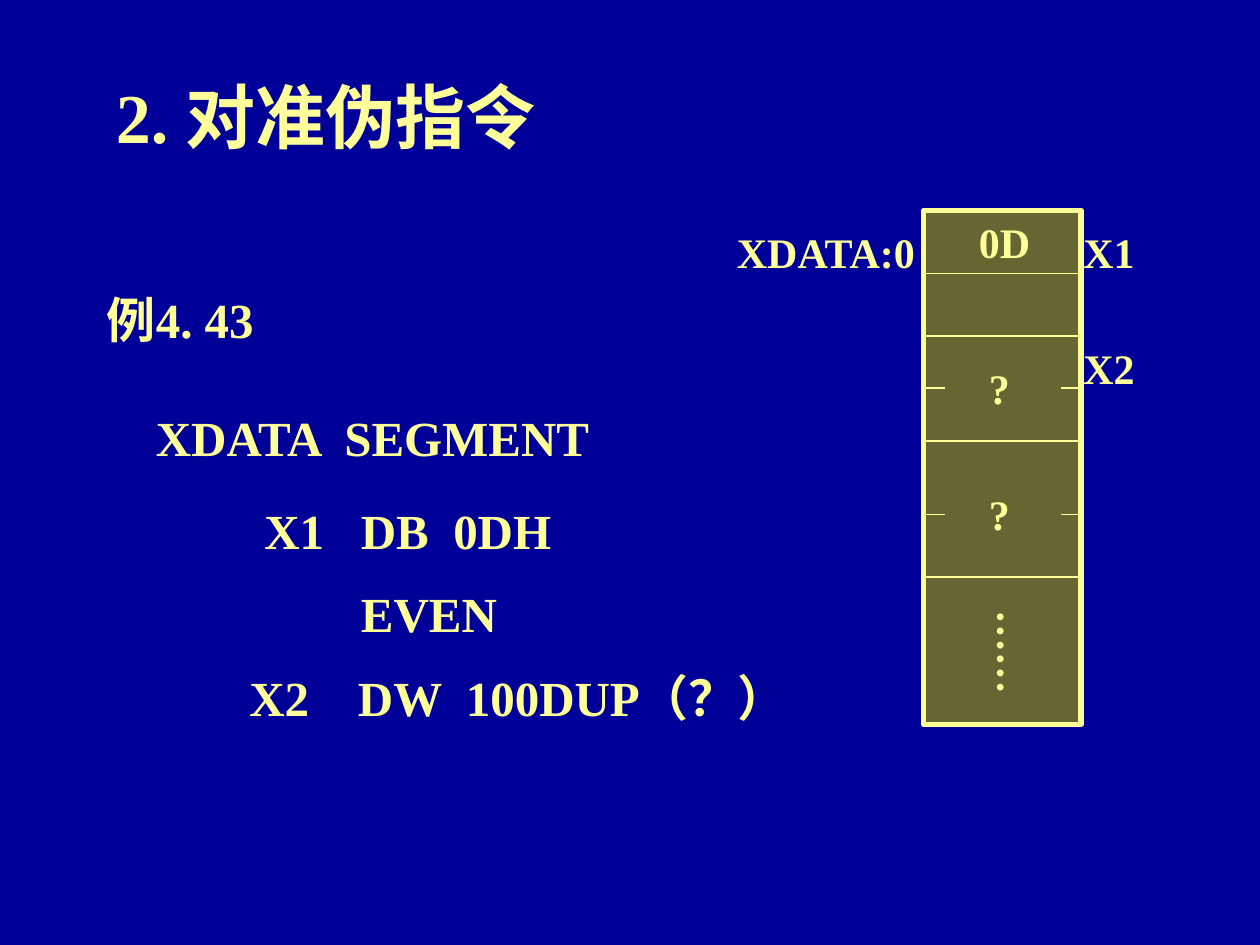
from pptx import Presentation
from pptx.dml.color import RGBColor
from pptx.enum.shapes import MSO_CONNECTOR, MSO_SHAPE
from pptx.enum.text import MSO_ANCHOR, MSO_AUTO_SIZE, PP_ALIGN
from pptx.oxml.ns import qn
from pptx.util import Inches, Pt
from lxml.etree import SubElement

NAVY = RGBColor(0x00, 0x00, 0x99)
CREAM = RGBColor(0xFF, 0xFF, 0x99)
OLIVE = RGBColor(0x66, 0x66, 0x33)
FACE = "Times New Roman"


def style(frame, size):
    for para in frame.paragraphs:
        for run in para.runs:
            run.font.name = FACE
            run.font.size = Pt(size)
            run.font.bold = True
            run.font.color.rgb = CREAM


def label(slide, text, x, y, w, h, size=24, wrap=False):
    box = slide.shapes.add_textbox(Inches(x), Inches(y), Inches(w), Inches(h))
    frame = box.text_frame
    frame.word_wrap = wrap
    frame.auto_size = MSO_AUTO_SIZE.SHAPE_TO_FIT_TEXT if wrap else MSO_AUTO_SIZE.NONE
    frame.text = text
    style(frame, size)
    return box


def rule(slide, left, right, y, width):
    line = slide.shapes.add_connector(
        MSO_CONNECTOR.STRAIGHT, Inches(left), Inches(y), Inches(right), Inches(y))
    line.line.color.rgb = CREAM
    line.line.width = Pt(width)
    SubElement(line._element.spPr, qn("a:effectLst"))


def heading(slide, x, y, w, h):
    title = slide.shapes.title
    title.left, title.top = Inches(x), Inches(y)
    title.width, title.height = Inches(w), Inches(h)
    frame = title.text_frame
    frame.text = "2. 对准伪指令"
    frame.vertical_anchor = MSO_ANCHOR.MIDDLE
    frame.paragraphs[0].alignment = PP_ALIGN.CENTER
    style(frame, 40)


def listing(slide, x, y, w, h):
    intro = label(slide, "例4. 43\n    XDATA  SEGMENT", x, y, w, h, 28, True)
    intro.text_frame.paragraphs[1].space_before = Pt(34)
    rows = [
        ("X1   DB  0DH", 1.25, 1.67, 2.6),
        (" EVEN", 1.92, 2.33, 1.5),
        ("X2    DW  100DUP（？）", 1.13, 3, 4.65),
    ]
    for text, dx, dy, wide in rows:
        label(slide, text, x + dx, y + dy, wide, 0.57, 28)


def memory(slide, x, y, w, h):
    right = x + w
    frame = slide.shapes.add_shape(
        MSO_SHAPE.RECTANGLE, Inches(x), Inches(y), Inches(w), Inches(h))
    frame.shadow.inherit = False
    frame.fill.solid()
    frame.fill.fore_color.rgb = OLIVE
    frame.line.color.rgb = CREAM
    frame.line.width = Pt(3)

    for dy, width in [(0.5, 1), (1, 1.25), (1.83, 1), (2.91, 1)]:
        rule(slide, x, right, y + dy, width)
    for dy, width in [(1.41, 0.75), (2.41, 0.25)]:
        rule(slide, x, x + 0.17, y + dy, width)
        rule(slide, right - 0.16, right, y + dy, width)

    words = [
        ("0D", 0.34, 0, 0.65),
        ("?", 0.42, 1.16, 0.4),
        ("?", 0.42, 2.16, 0.4),
        ("XDATA:0", -1.58, 0.08, 1.7),
        ("X1", 1.17, 0.08, 0.65),
        ("X2", 1.17, 1, 0.65),
    ]
    for text, dx, dy, wide in words:
        label(slide, text, x + dx, y + dy, wide, 0.5)
    dots = label(slide, "……", x, y + 3.19, 1, 0.5)
    dots.rotation = 270


def main():
    deck = Presentation()
    deck.slide_width, deck.slide_height = Inches(10), Inches(7.5)
    slide = deck.slides.add_slide(deck.slide_layouts[5])
    slide.background.fill.solid()
    slide.background.fill.fore_color.rgb = NAVY
    heading(slide, 0.42, 0.25, 4.33, 1.33)
    listing(slide, 0.75, 2.25, 5.42, 1.5)
    memory(slide, 7.33, 1.67, 1.25, 4.08)
    deck.save("out.pptx")


if __name__ == "__main__":
    main()
